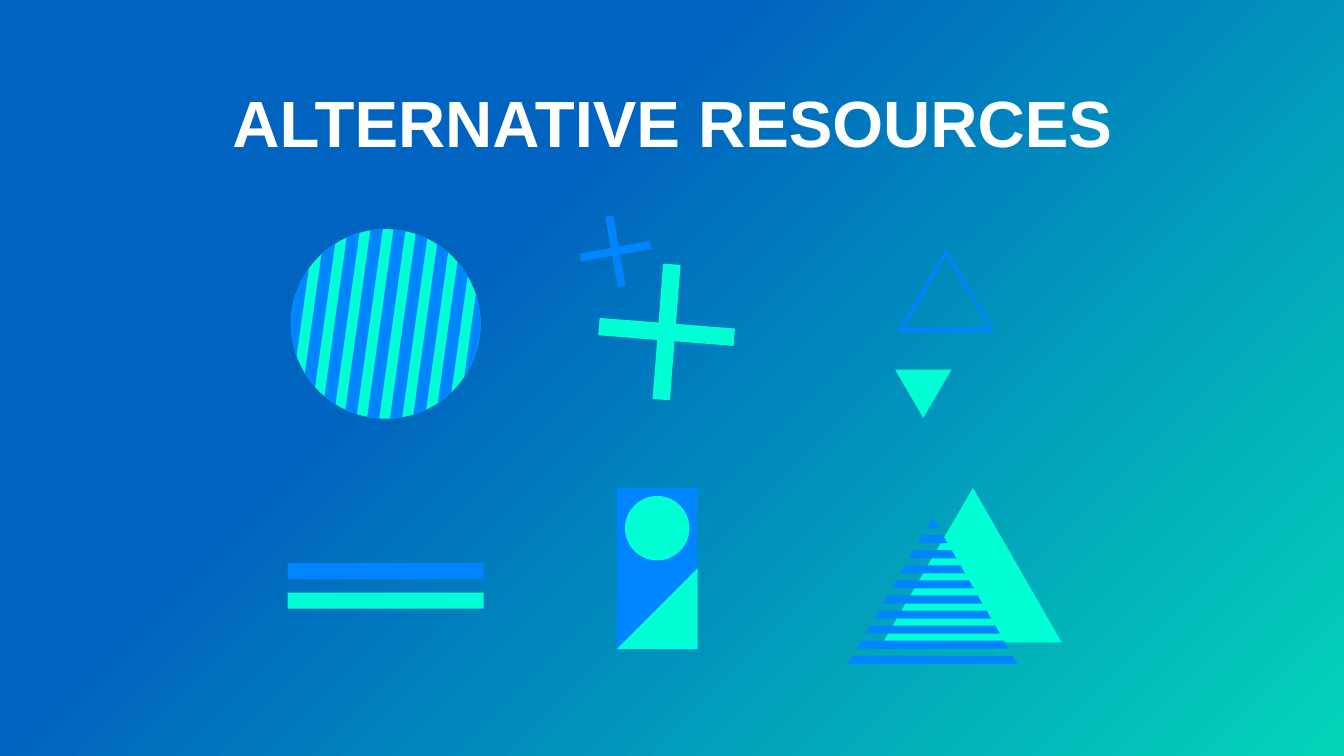
from dataclasses import dataclass
from math import atan, cos, radians, sin, sqrt

from pptx import Presentation
from pptx import util as u
from pptx.dml.color import RGBColor
from pptx.enum import shapes, text


@dataclass(frozen=True)
class Theme:
    blue: RGBColor = RGBColor(0x00, 0x84, 0xFF)
    mint: RGBColor = RGBColor(0x00, 0xFF, 0xD5)
    white: RGBColor = RGBColor(0xFF, 0xFF, 0xFF)
    deep_blue: RGBColor = RGBColor(0x00, 0x63, 0xBF)
    teal: RGBColor = RGBColor(0x03, 0xD4, 0xB8)
    font: str = "Arial"
    title_size: u.Pt = u.Pt(35)


THEME = Theme()
SLIDE_WIDTH = 10
SLIDE_HEIGHT = SLIDE_WIDTH * 9 / 16
TRIANGLE_SLOPE = 1 / sqrt(3)  # half width per unit of height


def paint(shape, color):
    shape.shadow.inherit = False
    shape.fill.solid()
    shape.fill.fore_color.rgb = color
    shape.line.fill.background()


def add_preset(parent, kind, left, top, width, height, color):
    box = [u.Inches(value) for value in (left, top, width, height)]
    paint(parent.add_shape(kind, *box), color)


def add_polygon(parent, color, *contours):
    """Draw closed contours as one shape; a second contour cuts a hole."""
    outlines = [[(u.Inches(x), u.Inches(y)) for x, y in contour] for contour in contours]
    builder = parent.build_freeform(*outlines[0][0], scale=1.0)
    builder.add_line_segments(outlines[0][1:], close=True)
    for outline in outlines[1:]:
        builder.move_to(*outline[0])
        builder.add_line_segments(outline[1:], close=True)
    paint(builder.convert_to_shape(), color)


def rotate(points, center, angle):
    return [(center[0] + x * cos(angle) - y * sin(angle),
             center[1] + x * sin(angle) + y * cos(angle)) for x, y in points]


def add_cross(parent, center, length, thickness, degrees, color):
    x, y = length / 2, thickness / 2
    bar = [(-x, -y), (x, -y), (x, y), (-x, y)]
    for turn in (degrees + 90, degrees):
        add_polygon(parent, color, rotate(bar, center, radians(turn)))


def add_striped_disc(parent):
    center, diameter = (2.87, 2.41), 1.41
    radius = diameter / 2
    pitch, stripe_width, tilt, steps = 0.17, 0.09, atan(0.14), 16
    add_preset(parent, shapes.MSO_SHAPE.OVAL, center[0] - radius, center[1] - radius,
               diameter, diameter, THEME.mint)
    for i in range(-4, 5):
        # Clip each slanted stripe to the disc
        left = max(-radius, (i * pitch - 0.04) * cos(tilt))
        right = min(radius, (i * pitch - 0.04 + stripe_width) * cos(tilt))
        across = [left + (right - left) * step / steps for step in range(steps + 1)]
        upper = [(x, -sqrt(max(0, radius ** 2 - x ** 2))) for x in across]
        lower = [(x, -y) for x, y in reversed(upper)]
        add_polygon(parent, THEME.blue, rotate(upper + lower, center, tilt))


def add_small_triangles(parent):
    add_polygon(parent, THEME.blue,
                [(7.04, 1.85), (6.68, 2.47), (7.4, 2.47)],
                [(7.04, 1.9), (7.36, 2.44), (6.73, 2.44)])
    add_polygon(parent, THEME.mint, [(6.66, 2.75), (7.08, 2.75), (6.87, 3.11)])


def add_striped_triangle(parent):
    add_polygon(parent, THEME.mint, [(7.24, 3.63), (7.9, 4.78), (6.57, 4.78)])
    apex_x, apex_y, first_bottom, last_bottom, rows = 6.94, 3.85, 3.93, 4.94, 10
    for row in range(rows):
        bottom = first_bottom + row * (last_bottom - first_bottom) / (rows - 1)
        top = bottom - 0.06 if row else apex_y
        upper, lower = [(y - apex_y) * TRIANGLE_SLOPE for y in (top, bottom)]
        add_polygon(parent, THEME.blue,
                    [(apex_x - upper, top), (apex_x + upper, top),
                     (apex_x + lower, bottom), (apex_x - lower, bottom)])


def add_card(parent):
    left, top, side, inset = 4.59, 3.63, 0.6, 0.06
    middle, right, bottom = top + side, left + side, top + 2 * side
    for square_top in (top, middle):
        add_preset(parent, shapes.MSO_SHAPE.RECTANGLE, left, square_top, side, side, THEME.blue)
    add_polygon(parent, THEME.mint, [(right, middle), (left, bottom), (right, bottom)])
    add_preset(parent, shapes.MSO_SHAPE.OVAL, left + inset, top + inset,
               side - 2 * inset, side - 2 * inset, THEME.mint)


def set_background(slide):
    fill = slide.background.fill
    fill.gradient()
    fill.gradient_angle = 315
    colors = ((0.35, THEME.deep_blue), (1, THEME.teal))
    for stop, (position, color) in zip(fill.gradient_stops, colors):
        stop.position = position
        stop.color.rgb = color


def set_title(slide, wording):
    title = slide.shapes.title
    title.left, title.top = u.Inches(0.79), u.Inches(0.59)
    title.width, title.height = u.Inches(8.43), u.Inches(0.63)
    frame = title.text_frame
    frame.vertical_anchor = text.MSO_ANCHOR.MIDDLE
    frame.margin_left = frame.margin_right = u.Inches(0.1)
    frame.margin_top = frame.margin_bottom = u.Inches(0.1)
    paragraph = frame.paragraphs[0]
    paragraph.alignment = text.PP_ALIGN.CENTER
    run = paragraph.add_run()
    run.text = wording
    run.font.name, run.font.size, run.font.bold = THEME.font, THEME.title_size, True
    run.font.color.rgb = THEME.white


def main():
    deck = Presentation()
    deck.slide_width, deck.slide_height = u.Inches(SLIDE_WIDTH), u.Inches(SLIDE_HEIGHT)
    slide = deck.slides.add_slide(deck.slide_layouts[5])
    set_background(slide)
    set_title(slide, "ALTERNATIVE RESOURCES")

    def new_group():
        return slide.shapes.add_group_shape().shapes

    # Top row: disc, crosses, small triangles
    add_striped_disc(new_group())
    crosses = new_group()
    add_cross(crosses, (4.96, 2.47), 1.01, 0.13, 4.5, THEME.mint)
    add_cross(crosses, (4.58, 1.87), 0.53, 0.06, -10, THEME.blue)
    add_small_triangles(new_group())

    # Bottom row: bars, striped triangle, card
    bars = new_group()
    for top, color in ((4.41, THEME.mint), (4.19, THEME.blue)):
        add_preset(bars, shapes.MSO_SHAPE.RECTANGLE, 2.14, top, 1.46, 0.12, color)
    add_striped_triangle(new_group())
    add_card(slide.shapes)

    deck.save("out.pptx")


if __name__ == "__main__":
    main()
